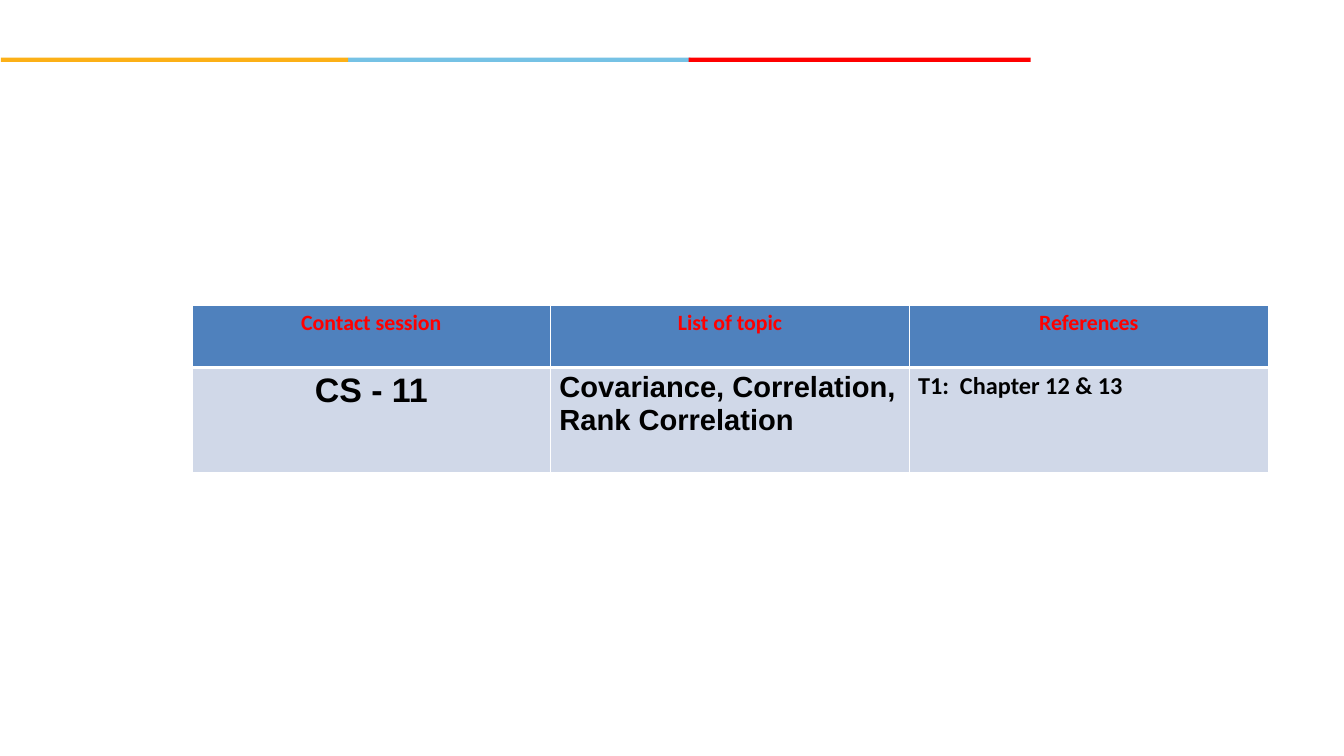
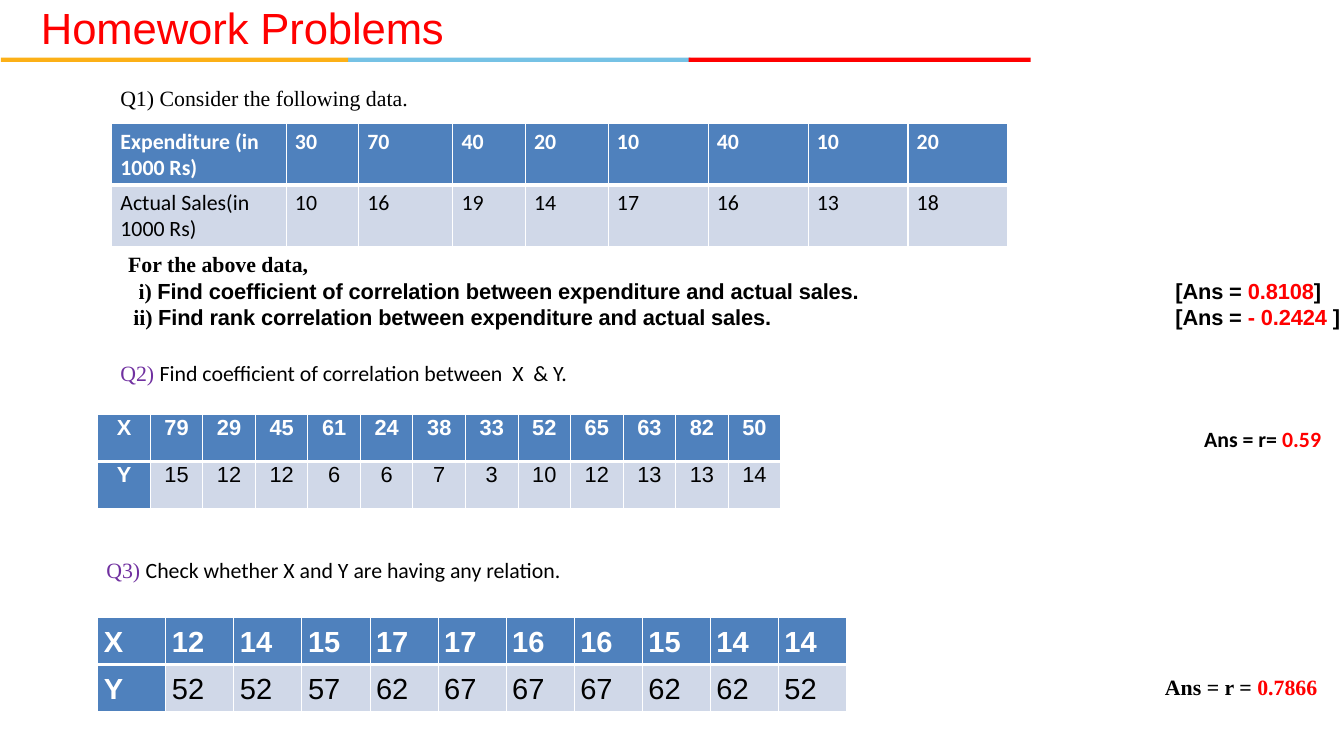
from lxml import etree
from pptx import Presentation
from pptx.dml.color import RGBColor
from pptx.enum import shapes, text
from pptx.oxml.ns import qn
from pptx.util import Inches, Pt

WHITE, BLACK, RED, PURPLE = "FFFFFF", "000000", "FF0000", "7030A0"
SKY, AMBER = "76C2E5", "FCB017"
HEAD, BODY = "4F81BD", "D0D8E8"
SANS, HUMANIST, SERIF = "Arial", "Calibri", "Times New Roman"
CENTER, LEFT = text.PP_ALIGN.CENTER, text.PP_ALIGN.LEFT
TOP, MIDDLE = text.MSO_ANCHOR.TOP, text.MSO_ANCHOR.MIDDLE


def rgb(value):
    return RGBColor.from_string(value)


def style_run(run, font, size, color, bold=False, spacing=0):
    """Format a run; spacing between letters is in points."""
    run.font.name = font
    run.font.size = Pt(size)
    run.font.color.rgb = rgb(color)
    run.font.bold = bold
    if spacing:
        run.font._element.set("spc", str(round(spacing * 100)))


def border(cell, bottom):
    """Give the cell white edges of 1 pt and a bottom edge of its own width."""
    properties = cell._tc.get_or_add_tcPr()
    edges = {"lnL": 1, "lnR": 1, "lnT": 1, "lnB": bottom}
    for place, (edge, width) in enumerate(edges.items()):
        line = etree.Element(qn(f"a:{edge}"), w=str(Pt(width)))
        fill = etree.SubElement(line, qn("a:solidFill"))
        etree.SubElement(fill, qn("a:srgbClr"), val=WHITE)
        properties.insert(place, line)


def tab_and_indent(paragraph, tab_step, first_line):
    """Set the distance between tab stops and a first-line indent, in inches."""
    properties = paragraph._p.get_or_add_pPr()
    properties.set("marL", "0")
    properties.set("indent", str(Inches(first_line)))
    properties.set("defTabSz", str(Inches(tab_step)))


class Deck:
    BANDS = [(3.99, 3.92, SKY), (0.01, 3.98, AMBER), (7.89, 3.92, RED)]

    def __init__(self):
        self.presentation = Presentation()
        self.presentation.slide_width = Inches(15.4)
        self.presentation.slide_height = Inches(26 / 3)
        self.slide = None

    def new_slide(self, title=None):
        self.slide = self.presentation.slides.add_slide(self.presentation.slide_layouts[6])
        for left, width, color in self.BANDS:
            band = self.slide.shapes.add_shape(
                shapes.MSO_SHAPE.RECTANGLE,
                Inches(left), Inches(0.66), Inches(width), Inches(0.05))
            band.shadow.inherit = False
            band.fill.solid()
            band.fill.fore_color.rgb = rgb(color)
            band.line.fill.background()
        if title:
            heading = self.textbox((0.46, 0, 11, 0.62),
                                   [[(title, SANS, 36, RED, False, -0.1)]])
            heading.margin_right = heading.margin_bottom = 0
            heading.margin_left = heading.margin_top = Inches(0.01)
            heading.paragraphs[0].space_before = Pt(1)

    def textbox(self, at, paragraphs):
        """Add text; a paragraph lists (text, font, size, color[, bold[, spacing]])."""
        frame = self.slide.shapes.add_textbox(*map(Inches, at)).text_frame
        frame.word_wrap = True
        for number, runs in enumerate(paragraphs):
            paragraph = frame.add_paragraph() if number else frame.paragraphs[0]
            for words, *style in runs:
                run = paragraph.add_run()
                run.text = words
                style_run(run, *style)
        return frame

    def question(self, left, top, width, label, words):
        self.textbox((left, top, width, 0.4), [
            [(label, SERIF, 18, PURPLE), (words, HUMANIST, 18, BLACK)]])

    def answer(self, left, top, width, font, label, value):
        self.textbox((left, top, width, 0.4), [
            [(label, font, 18, BLACK, True), (value, font, 18, RED, True)]])

    def table(self, left, top, widths, heights, rows, font, size, align=LEFT,
              anchor=TOP, head_color=WHITE, first_column=False, tight=False):
        grid = self.slide.shapes.add_table(
            len(rows), len(widths), Inches(left), Inches(top),
            Inches(sum(widths)), Inches(sum(heights))).table
        grid.first_col = first_column
        for column, width in zip(grid.columns, widths):
            column.width = Inches(width)
        for r, (height, values) in enumerate(zip(heights, rows)):
            grid.rows[r].height = Inches(height)
            for c, value in enumerate(values):
                is_head = r == 0 or (first_column and c == 0)
                cell = grid.cell(r, c)
                cell.text_frame.text = str(value)
                cell.vertical_anchor = anchor
                cell.fill.solid()
                cell.fill.fore_color.rgb = rgb(HEAD if is_head else BODY)
                border(cell, 1 if r else 3)
                paragraph = cell.text_frame.paragraphs[0]
                paragraph.alignment = align
                style_run(paragraph.runs[0], font, size,
                          head_color if is_head else BLACK, is_head)
                if tight:
                    cell.margin_left = cell.margin_right = Inches(0.07)
                    cell.margin_top = cell.margin_bottom = 0
                    paragraph.line_spacing = 1.07
        return grid

    def xy_table(self, top, width, x, y, **style):
        """Add a table of x over y, its total width shared equally."""
        columns = len(x) + 1
        self.table(1.12, top, [width / columns] * columns, [0.54] * 2,
                   [["X", *x], ["Y", *y]], SANS,
                   first_column=True, tight=True, **style)


def session_slide(deck):
    deck.new_slide()
    sessions = deck.table(
        2.2, 3.5, [4.11] * 3, [0.71, 1.21],
        [["Contact session", "List of topic", "References"],
         ["CS - 11", "Covariance, Correlation, Rank Correlation",
          "T1:  Chapter 12 & 13"]],
        HUMANIST, 18, CENTER, head_color=RED)
    looks = [(SANS, 28, CENTER), (SANS, 24, LEFT), (HUMANIST, 20, LEFT)]
    for column, (font, size, align) in enumerate(looks):
        paragraph = sessions.cell(1, column).text_frame.paragraphs[0]
        paragraph.alignment = align
        style_run(paragraph.runs[0], font, size, BLACK, True)


def homework_slide(deck):
    deck.new_slide("Homework Problems")

    deck.xy_table(4.75, 7.83,
                  [79, 29, 45, 61, 24, 38, 33, 52, 65, 63, 82, 50],
                  [15, 12, 12, 6, 6, 7, 3, 10, 12, 13, 13, 14],
                  size=18, align=CENTER)
    deck.question(1.28, 4.08, 5.39, "Q2) ",
                  "Find coefficient of correlation between  X  & Y.")
    deck.answer(13.7, 4.83, 1.83, HUMANIST, "Ans = r= ", "0.59")

    deck.question(1.12, 6.33, 5.53, "Q3) ",
                  "Check whether X and Y are having any relation.")
    deck.xy_table(7.08, 8.58,
                  [12, 14, 15, 17, 17, 16, 16, 15, 14, 14],
                  [52, 52, 57, 62, 67, 67, 67, 62, 62, 52],
                  size=24, anchor=MIDDLE)
    deck.answer(13.25, 7.67, 2.01, SERIF, "Ans = r = ", "0.7866")

    deck.textbox((1.28, 0.92, 3.53, 0.71), [
        [("Q1) Consider the following data.", SERIF, 18, BLACK)]])
    deck.table(1.28, 1.42, [2, 0.83, 1.08, 0.83, 0.95] + [4.58 / 4] * 4, [0.7] * 2,
               [["Expenditure (in 1000 Rs)", 30, 70, 40, 20, 10, 40, 10, 20],
                ["Actual Sales(in 1000 Rs)", 10, 16, 19, 14, 17, 16, 13, 18]],
               HUMANIST, 18)

    tasks = [
        ("i)", "Find coefficient of correlation between expenditure and actual sales.",
         "0.8108", 0.12),
        ("ii)", "Find rank correlation between expenditure and actual sales.",
         "- 0.2424 ", 0.06),
    ]
    paragraphs = [[("For the above data,", SERIF, 18, BLACK, True)]]
    for number, words, result, _ in tasks:
        paragraphs.append([
            (f"{number} ", SERIF, 18, BLACK, True),
            (f"{words}\t[Ans = ", SANS, 18, BLACK, True, -0.1),
            (result, SANS, 18, RED, True, -0.1),
            ("]", SANS, 18, BLACK, True, -0.1)])
    task_list = deck.textbox((1.37, 2.83, 14.24, 1.62), paragraphs)
    for paragraph, (*_, first_line) in zip(task_list.paragraphs[1:], tasks):
        tab_and_indent(paragraph, 6, first_line)


def main():
    deck = Deck()
    session_slide(deck)
    homework_slide(deck)
    deck.presentation.save("out.pptx")


if __name__ == "__main__":
    main()
